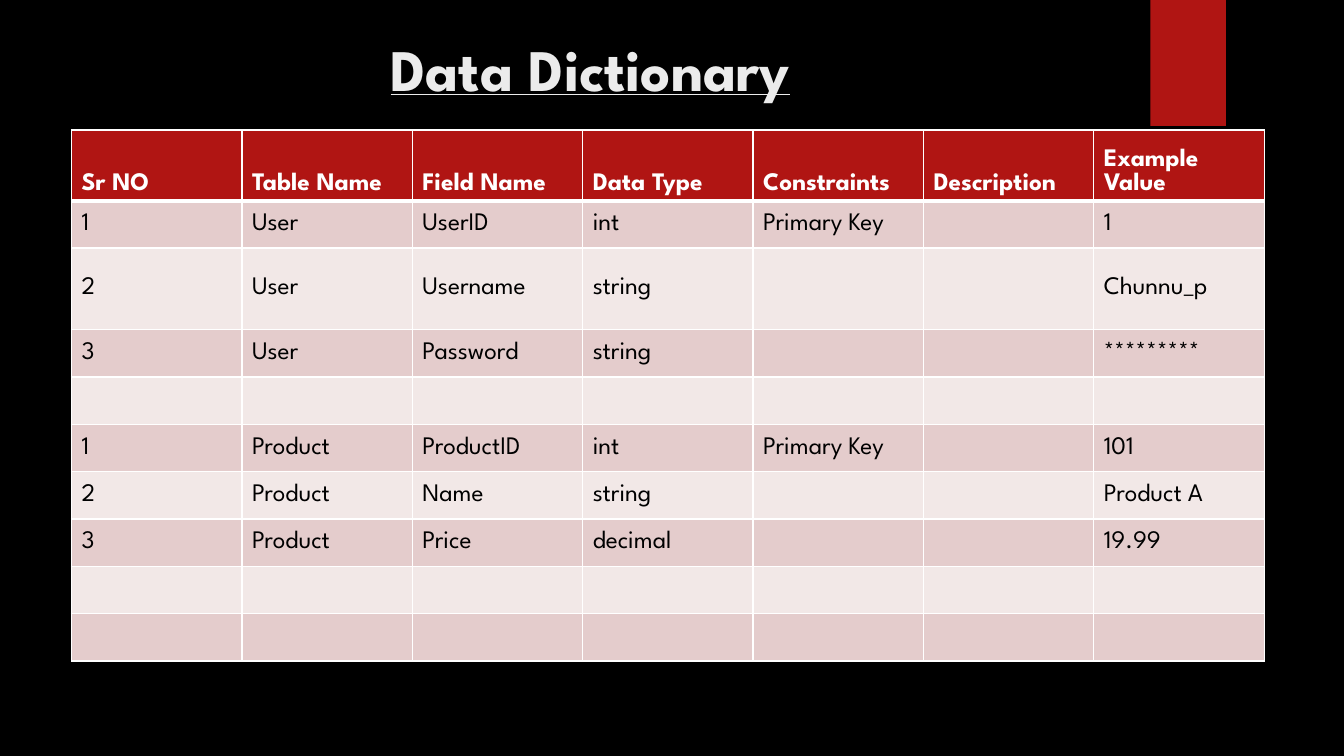
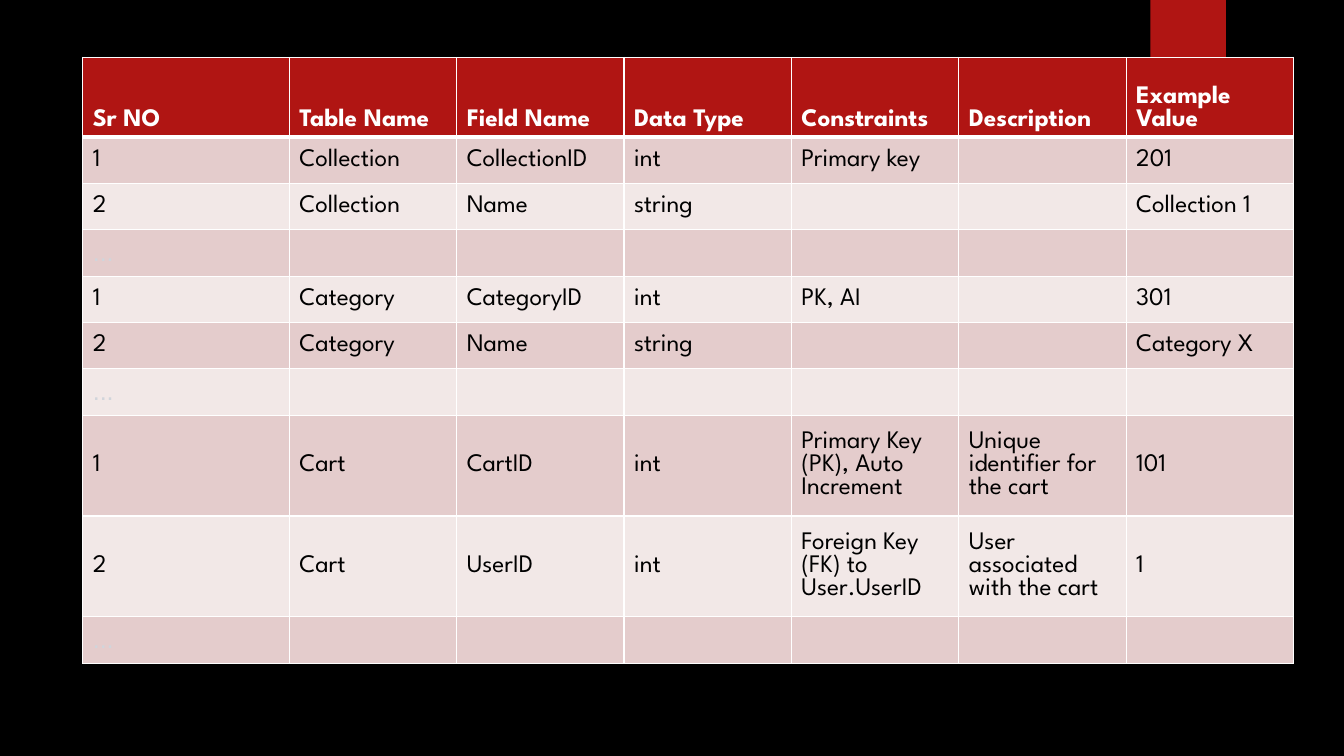
from dataclasses import dataclass

from lxml.etree import SubElement
from pptx import Presentation
from pptx.dml.color import RGBColor
from pptx.enum.shapes import MSO_SHAPE
from pptx.enum.text import MSO_ANCHOR, PP_ALIGN
from pptx.oxml.ns import qn
from pptx.slide import Slide
from pptx.table import _Cell
from pptx.util import Inches, Pt

BLACK = RGBColor(0x00, 0x00, 0x00)
WHITE = RGBColor(0xFF, 0xFF, 0xFF)
RED = RGBColor(0xB0, 0x15, 0x13)
DARK_BAND = RGBColor(0xE4, 0xCC, 0xCC)
LIGHT_BAND = RGBColor(0xF2, 0xE8, 0xE7)
TITLE_GREY = RGBColor(0xEB, 0xEB, 0xEB)
ELLIPSIS_GREY = RGBColor(0xD1, 0xD5, 0xDB)

FONT = "League Spartan"
ELLIPSIS_FONT = "Arial"
ELLIPSIS = "..."
HEADINGS = ("Sr NO", "Table Name", "Field Name", "Data Type",
            "Constraints", "Description", "Example Value")


@dataclass(frozen=True)
class TextStyle:
    size: int
    color: RGBColor
    font: str = FONT
    bold: bool = False
    underline: bool = False


TITLE_STYLE = TextStyle(42, TITLE_GREY, bold=True, underline=True)
HEADING_STYLE = TextStyle(18, WHITE, bold=True)
BODY_STYLE = TextStyle(18, BLACK)
ELLIPSIS_STYLE = TextStyle(18, ELLIPSIS_GREY, ELLIPSIS_FONT)


@dataclass(frozen=True)
class FieldRow:
    """Cell texts from the left; missing ones stay empty."""
    texts: tuple[str, ...] = ()
    height: float | None = None


@dataclass(frozen=True)
class DictionaryTable:
    left: float
    top: float
    first_width: float
    other_width: float
    heading_height: float
    row_height: float
    rows: tuple[FieldRow, ...]


@dataclass(frozen=True)
class DictionaryPage:
    table: DictionaryTable
    title: str = ""


PAGES = (
    DictionaryPage(
        title="Data Dictionary",
        table=DictionaryTable(0.71, 1.29, 1.69, 1.69, 0.65, 0.47, (
            FieldRow(("1", "User", "UserID", "int", "Primary Key", "", "1")),
            FieldRow(("2", "User", "Username", "string", "", "", "Chunnu_p"), 0.81),
            FieldRow(("3", "User", "Password", "string", "", "", "*********")),
            FieldRow(),
            FieldRow(("1", "Product", "ProductID", "int", "Primary Key", "", "101")),
            FieldRow(("2", "Product", "Name", "string", "", "", "Product A")),
            FieldRow(("3", "Product", "Price", "decimal", "", "", "19.99")),
            FieldRow(),
            FieldRow(),
        )),
    ),
    DictionaryPage(
        table=DictionaryTable(0.82, 0.57, 2.05, 1.66, 0.79, 0.46, (
            FieldRow(("1", "Collection", "CollectionID", "int", "Primary key", "", "201")),
            FieldRow(("2", "Collection", "Name", "string", "", "", "Collection 1")),
            FieldRow((ELLIPSIS,)),
            FieldRow(("1", "Category", "CategoryID", "int", "PK, AI", "", "301")),
            FieldRow(("2", "Category", "Name", "string", "", "", "Category X")),
            FieldRow((ELLIPSIS,)),
            FieldRow(("1", "Cart", "CartID", "int", "Primary Key (PK), Auto Increment",
                      "Unique identifier for the cart", "101"), 0.79),
            FieldRow(("2", "Cart", "UserID", "int", "Foreign Key (FK) to User.UserID",
                      "User associated with the cart", "1"), 0.79),
            FieldRow((ELLIPSIS,)),
        )),
    ),
)


def add_span(para, text: str, style: TextStyle) -> None:
    span = para.add_run()
    span.text = text
    span.font.name = style.font
    span.font.size = Pt(style.size)
    span.font.bold = style.bold
    span.font.underline = style.underline
    span.font.color.rgb = style.color


def add_ribbon(page: Slide) -> None:
    ribbon = page.shapes.add_shape(
        MSO_SHAPE.RECTANGLE, Inches(11.41), 0, Inches(0.75), Inches(1.25))
    ribbon.shadow.inherit = False
    ribbon.fill.solid()
    ribbon.fill.fore_color.rgb = RED
    ribbon.line.fill.background()


def add_title(page: Slide, title: str) -> None:
    box = page.shapes.add_textbox(Inches(0.71), Inches(0.22), Inches(10.29), Inches(0.9))
    frame = box.text_frame
    frame.word_wrap = True
    frame.vertical_anchor = MSO_ANCHOR.MIDDLE
    para = frame.paragraphs[0]
    para.alignment = PP_ALIGN.CENTER
    add_span(para, title, TITLE_STYLE)


def set_borders(cell: _Cell, top: int, bottom: int) -> None:
    """Draw white borders; top and bottom widths are in points."""
    properties = cell._tc.get_or_add_tcPr()
    for side, width in (("L", 1), ("R", 1), ("T", top), ("B", bottom)):
        line = SubElement(properties, qn(f"a:ln{side}"), w=str(Pt(width)))
        fill = SubElement(line, qn("a:solidFill"))
        SubElement(fill, qn("a:srgbClr"), val=str(WHITE))


def fill_cell(cell: _Cell, text: str, row_index: int) -> None:
    is_heading = row_index == 0
    set_borders(cell, top=3 if row_index == 1 else 1, bottom=3 if is_heading else 1)
    cell.fill.solid()
    if is_heading:
        cell.fill.fore_color.rgb = RED
        cell.vertical_anchor = MSO_ANCHOR.BOTTOM
        style = HEADING_STYLE
    else:
        cell.fill.fore_color.rgb = DARK_BAND if row_index % 2 else LIGHT_BAND
        cell.vertical_anchor = MSO_ANCHOR.MIDDLE
        style = ELLIPSIS_STYLE if text == ELLIPSIS else BODY_STYLE
    if text:
        add_span(cell.text_frame.paragraphs[0], text, style)


def add_dictionary_table(page: Slide, content: DictionaryTable) -> None:
    rows = (FieldRow(HEADINGS, content.heading_height), *content.rows)
    heights = [row.height or content.row_height for row in rows]
    widths = [content.first_width] + [content.other_width] * (len(HEADINGS) - 1)
    table = page.shapes.add_table(
        len(rows), len(widths), Inches(content.left), Inches(content.top),
        Inches(sum(widths)), Inches(sum(heights))).table
    table.horz_banding = False
    for column, width in zip(table.columns, widths):
        column.width = Inches(width)
    for row_index, (row, height) in enumerate(zip(rows, heights)):
        table.rows[row_index].height = Inches(height)
        for column_index in range(len(widths)):
            text = row.texts[column_index] if column_index < len(row.texts) else ""
            fill_cell(table.cell(row_index, column_index), text, row_index)


def main() -> None:
    deck = Presentation()
    deck.slide_width = Inches(13.33)
    deck.slide_height = Inches(7.5)
    background = deck.slide_master.background.fill
    background.solid()
    background.fore_color.rgb = BLACK
    blank = deck.slide_layouts[6]
    for content in PAGES:
        page = deck.slides.add_slide(blank)
        add_ribbon(page)
        if content.title:
            add_title(page, content.title)
        add_dictionary_table(page, content.table)
    deck.save("out.pptx")


if __name__ == "__main__":
    main()
